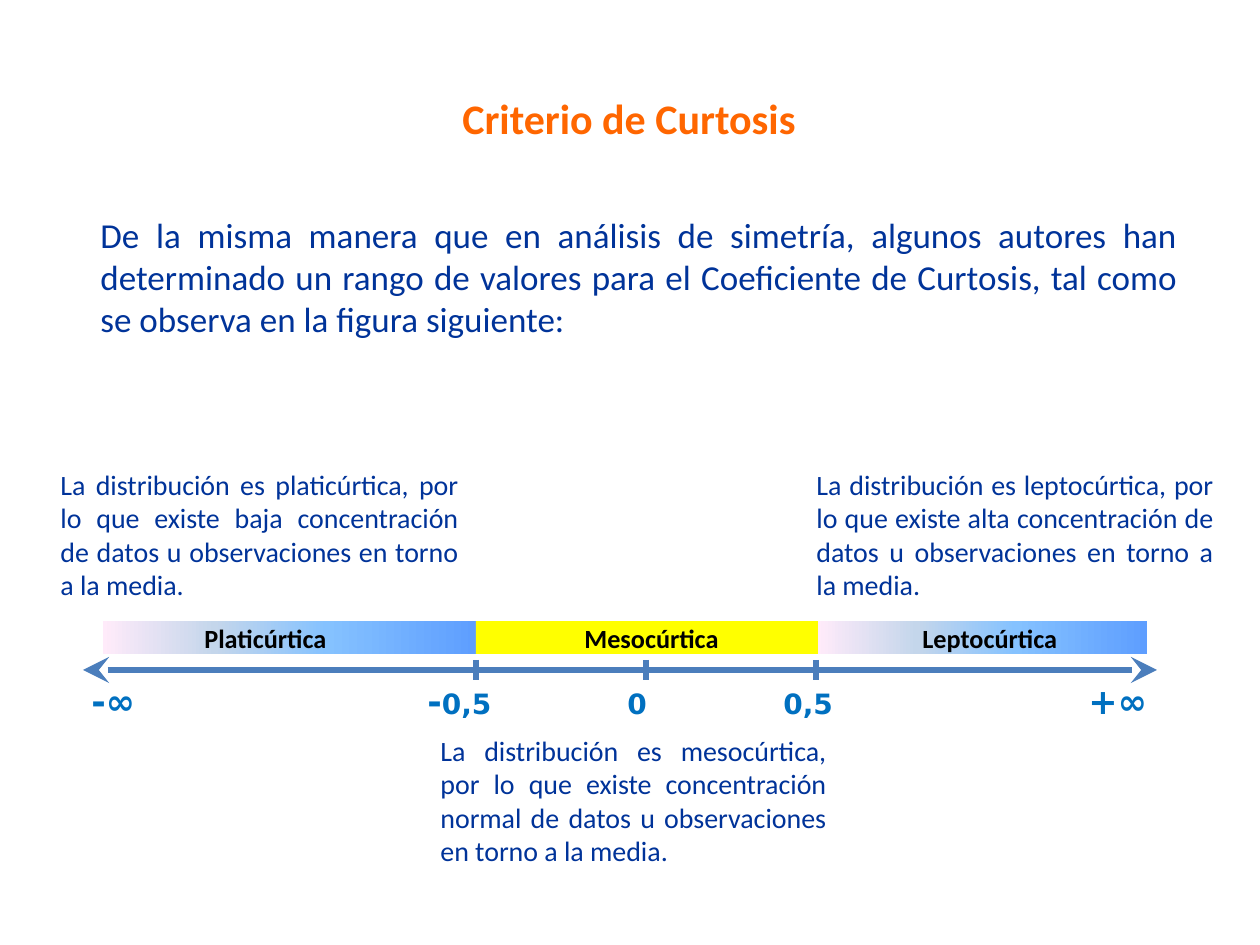
import pptx
import pptx.dml.color
import pptx.enum.shapes
import pptx.enum.text
import pptx.oxml
import pptx.oxml.ns
import pptx.util

RGBColor = pptx.dml.color.RGBColor
Alignment = pptx.enum.text.PP_ALIGN
Anchor = pptx.enum.text.MSO_ANCHOR

ORANGE = RGBColor(0xFF, 0x66, 0x00)
NAVY = RGBColor(0x00, 0x33, 0x99)
AXIS_BLUE = RGBColor(0x4B, 0x7E, 0xBC)
LABEL_BLUE = RGBColor(0x00, 0x70, 0xC0)
YELLOW = RGBColor(0xFF, 0xFF, 0x00)
BLACK = RGBColor(0x00, 0x00, 0x00)
GRADIENT = (
    (0, RGBColor(0x5E, 0x9E, 0xFF)),
    (40, RGBColor(0x85, 0xC2, 0xFF)),
    (70, RGBColor(0xC4, 0xD6, 0xEB)),
    (100, RGBColor(0xFF, 0xEB, 0xFA)),
)


def px(length):
    return pptx.util.Emu(round(length * 914400 / 126))


class KurtosisSlide:
    """Draws styled elements on one slide, with lengths in px."""

    body_font = "Calibri"
    axis_font = "DejaVu Sans"

    def __init__(self, presentation):
        self.slide = presentation.slides.add_slide(presentation.slide_layouts[6])

    def format_run(self, run, size, color, bold, font):
        run.font.size = pptx.util.Pt(size)
        run.font.color.rgb = color
        run.font.bold = bold
        run.font.name = font

    def text(self, box, text, size, color, bold=False, alignment=Alignment.LEFT, anchor=Anchor.TOP):
        shape = self.slide.shapes.add_textbox(*map(px, box))
        text_frame = shape.text_frame
        text_frame.word_wrap = True
        text_frame.vertical_anchor = anchor
        text_frame.text = text
        paragraph = text_frame.paragraphs[0]
        paragraph.alignment = alignment
        self.format_run(paragraph.runs[0], size, color, bold, self.body_font)

    def axis_labels(self, box, parts, tab_stops):
        shape = self.slide.shapes.add_textbox(*map(px, box))
        shape.text_frame.word_wrap = True
        paragraph = shape.text_frame.paragraphs[0]
        for text, size in parts:
            run = paragraph.add_run()
            run.text = text
            self.format_run(run, size, LABEL_BLUE, True, self.axis_font)
        tab_list = pptx.oxml.parse_xml(f"<a:tabLst {pptx.oxml.ns.nsdecls('a')}/>")
        for position in tab_stops:
            tab_list.append(pptx.oxml.parse_xml(
                f"<a:tab {pptx.oxml.ns.nsdecls('a')} pos=\"{px(position)}\" algn=\"l\"/>"))
        paragraph._p.get_or_add_pPr().append(tab_list)

    def bar(self, box, color=None):
        shape = self.slide.shapes.add_shape(
            pptx.enum.shapes.MSO_SHAPE.RECTANGLE, *map(px, box))
        shape.shadow.inherit = False
        shape.line.fill.background()
        if color is not None:
            shape.fill.solid()
            shape.fill.fore_color.rgb = color
            return
        shape.fill.gradient()
        shape.fill.gradient_angle = 180
        stop_list = shape._element.spPr.find(".//" + pptx.oxml.ns.qn("a:gsLst"))
        for stop in list(stop_list):
            stop_list.remove(stop)
        for percent, stop_color in GRADIENT:
            stop_list.append(pptx.oxml.parse_xml(
                f"<a:gs {pptx.oxml.ns.nsdecls('a')} pos=\"{percent * 1000}\">"
                f"<a:srgbClr val=\"{stop_color}\"/></a:gs>"))

    def line(self, start, end, arrows=False):
        connector = self.slide.shapes.add_connector(
            pptx.enum.shapes.MSO_CONNECTOR.STRAIGHT, *map(px, start + end))
        connector.line.color.rgb = AXIS_BLUE
        connector.line.width = pptx.util.Pt(3)
        if arrows:
            for end_name in ("headEnd", "tailEnd"):
                connector.line._get_or_add_ln().append(pptx.oxml.parse_xml(
                    f"<a:{end_name} {pptx.oxml.ns.nsdecls('a')} type=\"stealth\" w=\"lg\" len=\"lg\"/>"))
        connector._element.spPr.append(
            pptx.oxml.parse_xml(f"<a:effectLst {pptx.oxml.ns.nsdecls('a')}/>"))


def main():
    presentation = pptx.Presentation()
    presentation.slide_width = px(1260)
    presentation.slide_height = px(945)
    page = KurtosisSlide(presentation)

    page.text((54, 59, 1150, 118), "Criterio de Curtosis", 24, ORANGE, True,
              Alignment.CENTER, Anchor.MIDDLE)
    page.text((88, 207, 1102, 140),
              "De la misma manera que en análisis de simetría, algunos autores han "
              "determinado un rango de valores para el Coeficiente de Curtosis, tal como "
              "se observa en la figura siguiente:", 20, NAVY, alignment=Alignment.JUSTIFY)

    axis_y, zero_x, tick_gap = 670, 646, 170
    page.axis_labels((79, 673, 1103, 55),
                     (("-∞\t-", 20), ("0,5\t0\t0,5\t", 16), ("+∞", 20)),
                     (336, 536, 692, 997))
    page.line((83, axis_y), (1157, axis_y), arrows=True)
    for step in (-1, 0, 1):
        tick_x = zero_x + step * tick_gap
        page.line((tick_x, axis_y - 10), (tick_x, axis_y + 10))

    ranges = (
        ("Platicúrtica", 103, 373, None, 192, 246),
        ("Mesocúrtica", 476, 342, YELLOW, 572, 175),
        ("Leptocúrtica", 818, 329, None, 910, 168),
    )
    for name, left, width, color, label_left, label_width in ranges:
        page.bar((left, 621, width, 33), color)
        page.text((label_left, 616, label_width, 44), name, 15, BLACK, True)

    descriptions = (
        ((48, 461, 423, 154), "platicúrtica", "baja concentración"),
        ((428, 727, 411, 158), "mesocúrtica", "concentración normal"),
        ((804, 461, 422, 158), "leptocúrtica", "alta concentración"),
    )
    for box, kind, concentration in descriptions:
        page.text(box, f"La distribución es {kind}, por lo que existe {concentration} "
                  "de datos u observaciones en torno a la media.",
                  16, NAVY, alignment=Alignment.JUSTIFY)

    presentation.save("out.pptx")


if __name__ == "__main__":
    main()
